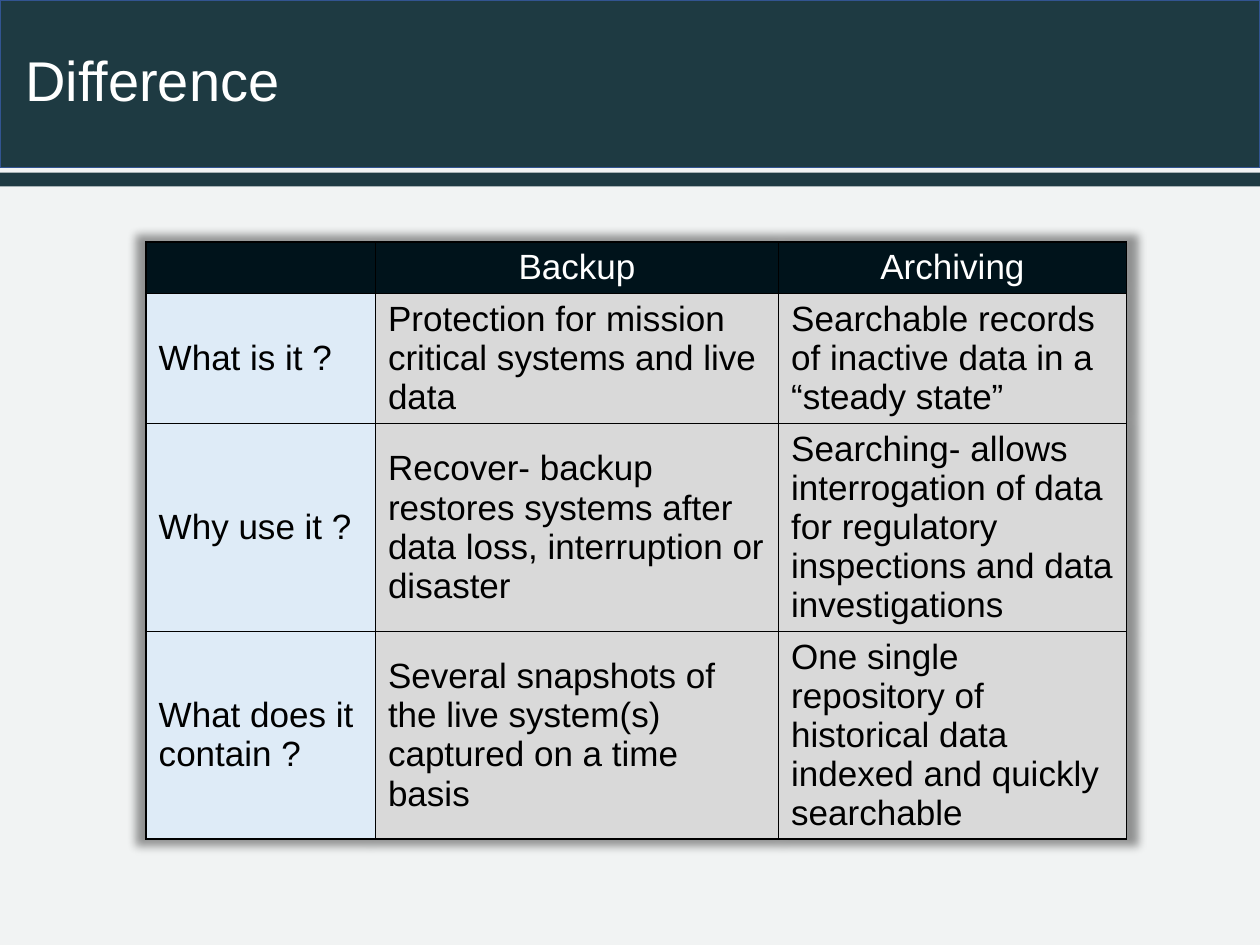
from lxml import etree
from pptx import Presentation
from pptx.dml.color import RGBColor
from pptx.enum.shapes import MSO_SHAPE
from pptx.enum.text import MSO_ANCHOR, PP_ALIGN
from pptx.oxml import parse_xml
from pptx.oxml.ns import nsdecls
from pptx.util import Inches, Pt

RECTANGLE = MSO_SHAPE.RECTANGLE
MIDDLE = MSO_ANCHOR.MIDDLE
LEFT, CENTER = PP_ALIGN.LEFT, PP_ALIGN.CENTER

TEAL = RGBColor(0x1E, 0x3A, 0x42)
PALE = RGBColor(0xF1, 0xF3, 0xF3)
BLUE = RGBColor(0x32, 0x54, 0x91)
NAVY = RGBColor(0x00, 0x13, 0x1B)
SKY = RGBColor(0xDE, 0xEB, 0xF7)
GREY = RGBColor(0xD9, 0xD9, 0xD9)
WHITE = RGBColor(0xFF, 0xFF, 0xFF)
BLACK = RGBColor(0x00, 0x00, 0x00)

WIDTH, HEIGHT = 10, 7.5
BAND_HEIGHT = 1.33
COLUMN_WIDTHS = (1.82, 3.2, 2.76)
ROW_HEIGHTS = (0.41, 1.03, 1.65, 1.65)
COMPARISON = (
    ("", "Backup", "Archiving"),
    ("What is it ?",
     "Protection for mission critical systems and live data",
     "Searchable records of inactive data in a “steady state”"),
    ("Why use it ?",
     "Recover- backup restores systems after data loss, interruption or disaster",
     "Searching- allows interrogation of data for regulatory inspections "
     "and data investigations"),
    ("What does it contain ?",
     "Several snapshots of the live system(s) captured on a time basis",
     "One single repository of historical data indexed and quickly searchable"),
)


def format_text(paragraph, color, **font_values):
    for name, value in {"name": "Arial", **font_values}.items():
        setattr(paragraph.font, name, value)
    paragraph.font.color.rgb = color


def add_band(slide, top, height, outline=None):
    band = slide.shapes.add_shape(
        RECTANGLE, 0, Inches(top), Inches(WIDTH), Inches(height))
    band.shadow.inherit = False
    band.fill.solid()
    band.fill.fore_color.rgb = TEAL
    if outline is None:
        band.line.fill.background()
    else:
        band.line.color.rgb = outline
        band.line.width = Pt(1)


def place_title(slide, text):
    title = slide.shapes.title
    slide.shapes._spTree.append(title._element)  # in front of the band
    bounds = {"left": 0.1, "top": 0, "width": WIDTH - 0.1, "height": BAND_HEIGHT}
    for name, value in bounds.items():
        setattr(title, name, Inches(value))
    title.text = text
    title.text_frame.vertical_anchor = MIDDLE
    heading = title.text_frame.paragraphs[0]
    heading.alignment = LEFT
    heading.line_spacing = 0.9
    format_text(heading, WHITE, size=Pt(32))


def add_borders(cell):
    properties = cell._tc.get_or_add_tcPr()
    for position, side in enumerate(("lnL", "lnR", "lnT", "lnB")):
        properties.insert(position, parse_xml(
            f'<a:{side} {nsdecls("a")} w="12700"><a:solidFill>'
            f'<a:srgbClr val="{BLACK}"/></a:solidFill></a:{side}>'))


def add_glow_shadow(table):
    """Give the table a soft shadow that shows on every side."""
    effects = etree.fromstring(
        f'<a:effectLst {nsdecls("a")}>'
        '<a:outerShdw blurRad="63500" sx="102000" sy="102000" algn="ctr" '
        f'rotWithShape="0"><a:srgbClr val="{BLACK}"><a:alpha val="40000"/>'
        '</a:srgbClr></a:outerShdw></a:effectLst>')
    table._tbl.tblPr.insert(0, effects)


def fill_cell(cell, text, row, column):
    header = row == 0
    cell.fill.solid()
    cell.fill.fore_color.rgb = NAVY if header else GREY if column else SKY
    cell.vertical_anchor = MIDDLE
    cell.text = text
    entry = cell.text_frame.paragraphs[0]
    entry.alignment = CENTER if header else LEFT
    format_text(entry, WHITE if header else BLACK, size=Pt(20), bold=False)
    add_borders(cell)


def add_comparison(slide, left, top):
    table = slide.shapes.add_table(
        len(ROW_HEIGHTS), len(COLUMN_WIDTHS), Inches(left), Inches(top),
        Inches(sum(COLUMN_WIDTHS)), Inches(sum(ROW_HEIGHTS))).table
    for column, width in zip(table.columns, COLUMN_WIDTHS):
        column.width = Inches(width)
    for row, height in zip(table.rows, ROW_HEIGHTS):
        row.height = Inches(height)
    for row, entries in enumerate(COMPARISON):
        for column, text in enumerate(entries):
            fill_cell(table.cell(row, column), text, row, column)
    add_glow_shadow(table)


def main():
    deck = Presentation()
    deck.slide_width, deck.slide_height = Inches(WIDTH), Inches(HEIGHT)
    slide = deck.slides.add_slide(deck.slide_layouts.get_by_name("Title Only"))
    slide.background.fill.solid()
    slide.background.fill.fore_color.rgb = PALE
    add_band(slide, 0, BAND_HEIGHT, BLUE)
    add_band(slide, 1.37, 0.11)
    place_title(slide, "Difference")
    add_comparison(slide, 1.16, 1.92)
    deck.save("out.pptx")


if __name__ == "__main__":
    main()
